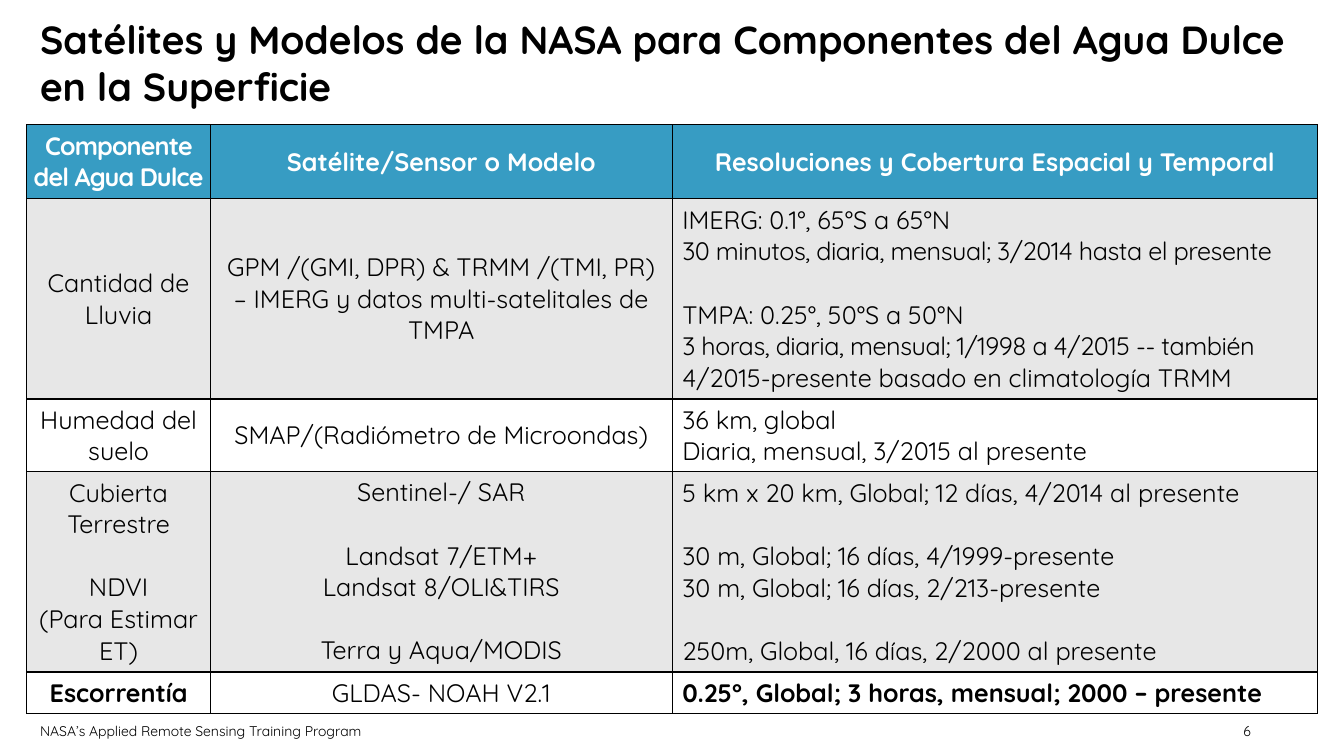
from lxml import etree
from pptx import Presentation
from pptx.dml.color import RGBColor
from pptx.enum import text as t
from pptx.oxml import ns
from pptx.util import Pt

COLORS = {"ink": "000000", "white": "FFFFFF", "header": "379CC3", "band": "E7E7E7"}
LINE_GAP = Pt(22.5)
LEFT, CENTER, RIGHT = t.PP_ALIGN.LEFT, t.PP_ALIGN.CENTER, t.PP_ALIGN.RIGHT
MIDDLE, TOP = t.MSO_ANCHOR.MIDDLE, t.MSO_ANCHOR.TOP


def add_run(paragraph, words, size, color="ink", bold=False, spacing=0):
    run = paragraph.add_run()
    run.text = words
    look = {"name": "Quicksand", "size": Pt(size), "bold": bold}
    for key, value in look.items():
        setattr(run.font, key, value)
    run.font.color.rgb = RGBColor.from_string(COLORS[color])
    if spacing:
        run._r.get_or_add_rPr().set("spc", str(spacing))


def add_border(cell, side):
    line = etree.SubElement(cell._tc.get_or_add_tcPr(), ns.qn("a:" + side), w="12700")
    fill = etree.SubElement(line, ns.qn("a:solidFill"))
    etree.SubElement(fill, ns.qn("a:srgbClr"), val=COLORS["ink"])


deck = Presentation()
deck.slide_width, deck.slide_height = Pt(960), Pt(540)
slide = deck.slides.add_slide(deck.slide_layouts[6])

# Title, footer and page number
labels = [
    ("Satélites y Modelos de la NASA para Componentes del Agua Dulce en la Superficie",
     (19, 21.6, 921.6, 45.4), 28, True, LEFT, MIDDLE),
    ("NASA’s Applied Remote Sensing Training Program",
     (19, 511.2, 309, 21.6), 10, False, LEFT, TOP),
    ("6", (849, 511.2, 54, 21.6), 10, False, RIGHT, TOP),
]
for words, place, size, bold, align, anchor in labels:
    frame = slide.shapes.add_textbox(*map(Pt, place)).text_frame
    layout = {"word_wrap": True, "vertical_anchor": anchor,
              "margin_left": Pt(9.6), "margin_right": Pt(9.6),
              "margin_top": Pt(4.8), "margin_bottom": Pt(4.8)}
    for key, value in layout.items():
        setattr(frame, key, value)
    frame.paragraphs[0].alignment = align
    add_run(frame.paragraphs[0], words, size, bold=bold)

# Table content: one list of paragraphs per cell, "" opens a gap of one line
rows = [
    [["Componente del Agua Dulce"], ["Satélite/Sensor o Modelo"],
     ["Resoluciones y Cobertura Espacial y Temporal"]],
    [["Cantidad de Lluvia"],
     ["GPM /(GMI, DPR) & TRMM /(TMI, PR) – IMERG y datos multi-satelitales de TMPA"],
     ["IMERG: 0.1°, 65°S a 65°N",
      "30 minutos, diaria, mensual; 3/2014 hasta el presente", "",
      "TMPA: 0.25°, 50°S a 50°N",
      "3 horas, diaria, mensual; 1/1998 a 4/2015 -- también |"
      "4/2015-presente basado en climatología TRMM"]],
    [["Humedad del suelo"], ["SMAP/(Radiómetro de Microondas)"],
     ["36 km, global", "Diaria, mensual, 3/2015 al presente"]],
    [["Cubierta Terrestre", "", "NDVI", "(Para Estimar ET)"],
     ["Sentinel-/ SAR", "", "Landsat 7/ETM+", "Landsat 8/OLI&TIRS", "",
      "Terra y Aqua/MODIS"],
     ["5 km x 20 km, Global; 12 días, 4/2014 al presente", "",
      "30 m, Global; 16 días, 4/1999-presente",
      "30 m, Global; 16 días, 2/213-presente", "",
      "250m, Global, 16 días, 2/2000 al presente"]],
    [["Escorrentía"], ["GLDAS- NOAH V2.1"],
     ["0.25°, Global; 3 horas, mensual; 2000 – presente"]],
]
row_fills = ["header", "band", "white", "band", "white"]
row_heights = [53, 143, 52, 143, 30]
column_widths = [131, 330, 461]
bold_cells = {(0, 0), (0, 1), (0, 2), (4, 0), (4, 2)}
spacings = {"Componente": -60, "30 minutos": -30, "3 horas, d": -30}

# Table
components = slide.shapes.add_table(
    len(rows), len(column_widths), Pt(19.2), Pt(89),
    Pt(sum(column_widths)), Pt(sum(row_heights))).table
components.horz_banding = False
for column, width in zip(components.columns, column_widths):
    column.width = Pt(width)
for row, height in zip(components.rows, row_heights):
    row.height = Pt(height)

for r, row in enumerate(rows):
    for c, paragraphs in enumerate(row):
        cell = components.cell(r, c)
        for side in ("lnL", "lnR", "lnT", "lnB"):
            add_border(cell, side)
        cell.fill.solid()
        cell.fill.fore_color.rgb = RGBColor.from_string(COLORS[row_fills[r]])
        cell.vertical_anchor = TOP if (r, c) == (3, 1) else MIDDLE
        if (r, c) == (0, 0):
            cell.margin_left = cell.margin_right = 0
        for i, words in enumerate(paragraphs):
            if not words:
                continue
            paragraph = cell.text_frame.add_paragraph() if i else cell.text_frame.paragraphs[0]
            paragraph.alignment = LEFT if r and c == 2 else CENTER
            if i and not paragraphs[i - 1]:
                paragraph.space_before = LINE_GAP
            for part in words.split("|"):
                add_run(paragraph, part, 18, "ink" if r else "white",
                        (r, c) in bold_cells, spacings.get(part[:10], 0))

deck.save("out.pptx")
